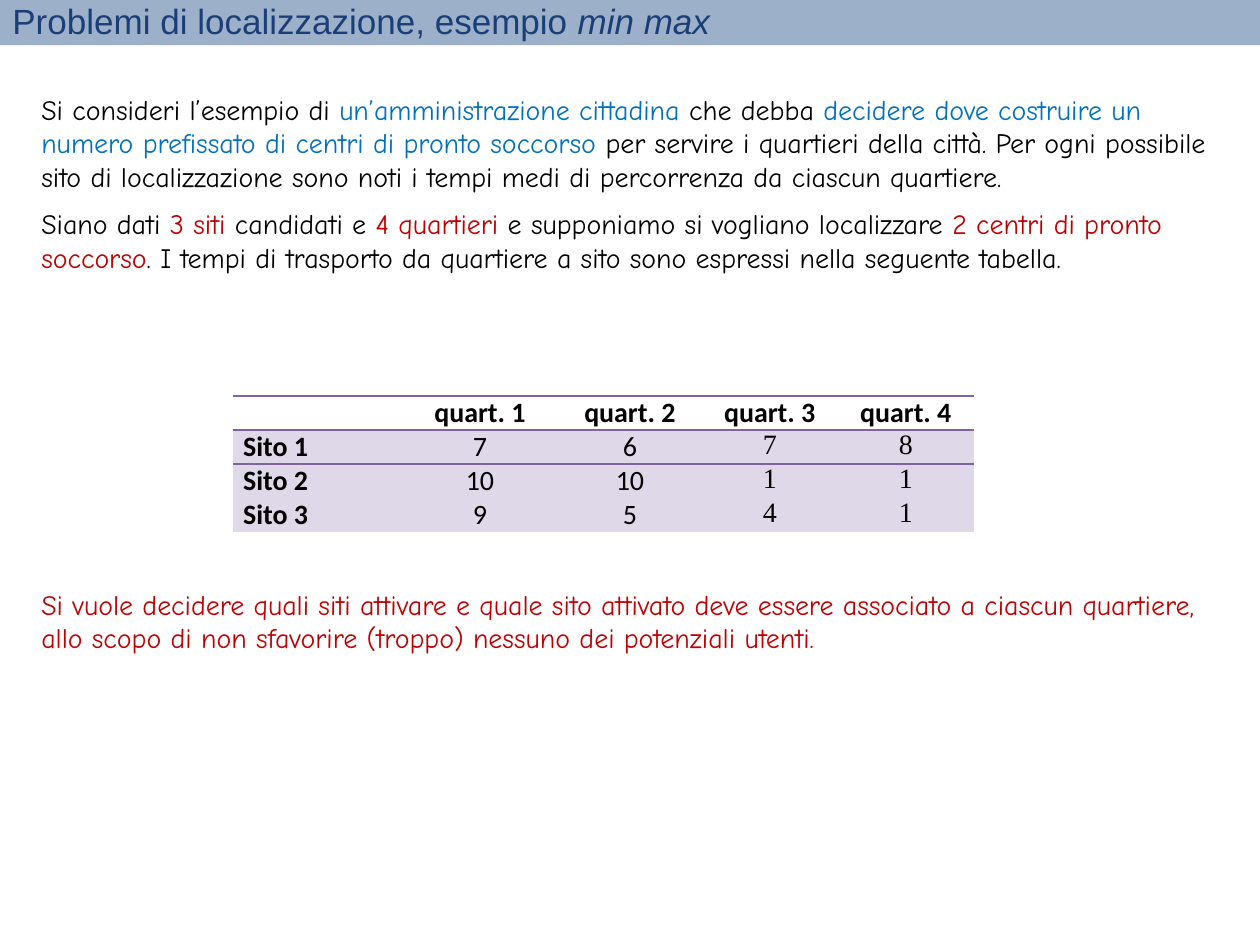
from dataclasses import dataclass

import lxml.etree
import pptx
import pptx.dml.color
import pptx.enum.shapes
import pptx.enum.text
import pptx.oxml.ns
import pptx.util

WIDTH, HEIGHT = 10, 7.5
NO_STYLE = "{2D5ABB26-0587-4C30-8999-92F81FD0307C}"
MIDDLE = pptx.enum.text.MSO_ANCHOR.MIDDLE
CENTER = pptx.enum.text.PP_ALIGN.CENTER
LEFT = pptx.enum.text.PP_ALIGN.LEFT


@dataclass(frozen=True)
class Theme:
    navy: str = "002060"
    bar: str = "376092"
    black: str = "000000"
    blue: str = "0070C0"
    red: str = "C00000"
    rule: str = "8064A2"
    band: str = "DFD8E8"
    title_font: str = "Arial"
    body_font: str = "Comic Neue"
    table_font: str = "Calibri"
    number_font: str = "Times New Roman"
    title_size: int = 20
    body_size: int = 16
    paragraph_gap: int = 8


T = Theme()

PROBLEM = [
    [("Si consideri l’esempio di ", T.black),
     ("un’amministrazione cittadina ", T.blue),
     ("che debba ", T.black),
     ("decidere dove costruire un numero prefissato di centri di pronto soccorso ", T.blue),
     ("per servire i quartieri della città. Per ogni possibile sito di localizzazione "
      "sono noti i tempi medi di percorrenza da ciascun quartiere.", T.black)],
    [("Siano dati ", T.black),
     ("3 siti ", T.red),
     ("candidati e ", T.black),
     ("4 quartieri ", T.red),
     ("e supponiamo si vogliano localizzare ", T.black),
     ("2 centri di pronto soccorso", T.red),
     (". I tempi di trasporto da quartiere a sito sono espressi nella seguente tabella.",
      T.black)],
]
GOAL = [
    [("Si vuole decidere quali siti attivare e quale sito attivato deve essere associato "
      "a ciascun quartiere, allo scopo di non sfavorire (troppo) nessuno dei potenziali "
      "utenti.", T.red)],
]
TIMES = [
    ["", "quart. 1", "quart. 2", "quart. 3", "quart. 4"],
    ["Sito 1", "7", "6", "7", "8"],
    ["Sito 2", "10", "10", "1", "1"],
    ["Sito 3", "9", "5", "4", "1"],
]
COLUMN_WIDTHS = [1.34, 1.24, 1.14, 1.08, 1.08]
ROW_HEIGHT = 0.27


def rgb(color):
    return pptx.dml.color.RGBColor.from_string(color)


def box(x, y, w, h):
    """Turn shares of the slide's size into left, top, width and height."""
    return [pptx.util.Inches(share * side)
            for share, side in zip((x, y, w, h), (WIDTH, HEIGHT) * 2)]


def sub(parent, tag, **attributes):
    return lxml.etree.SubElement(parent, pptx.oxml.ns.qn(tag), **attributes)


def add_run(p, text, font, size, color, bold=False, italic=False):
    r = p.add_run()
    r.text = text
    r.font.name = font
    r.font.size = pptx.util.Pt(size)
    r.font.color.rgb = rgb(color)
    r.font.bold = bold
    r.font.italic = italic


def add_text_frame(s, place):
    tf = s.shapes.add_textbox(*place).text_frame
    tf.word_wrap = True
    return tf


def add_title(s, plain, emphasis):
    tf = add_text_frame(s, box(0, -0.015, 0.92, 0.074))
    tf.vertical_anchor = MIDDLE
    for text, italic in ((plain, False), (emphasis, True)):
        add_run(tf.paragraphs[0], text, T.title_font, T.title_size, T.navy, italic=italic)


def add_title_bar(s):
    bar = s.shapes.add_shape(pptx.enum.shapes.MSO_SHAPE.RECTANGLE, *box(0, 0, 1, 0.048))
    bar.shadow.inherit = False
    bar.line.fill.background()
    bar.fill.solid()
    bar.fill.fore_color.rgb = rgb(T.bar)
    color = bar.fill._xPr.find(".//" + pptx.oxml.ns.qn("a:srgbClr"))
    sub(color, "a:alpha", val="49000")


def add_body(s, y, h, paragraphs):
    tf = add_text_frame(s, box(0.023, y, 0.953, h))
    for i, runs in enumerate(paragraphs):
        p = tf.add_paragraph() if i else tf.paragraphs[0]
        if i:
            p.space_before = pptx.util.Pt(T.paragraph_gap)
        for text, color in runs:
            add_run(p, text, T.body_font, T.body_size, color)


def add_border(cell, tag):
    line = sub(cell._tc.get_or_add_tcPr(), tag, w=str(pptx.util.Pt(1)))
    sub(sub(line, "a:solidFill"), "a:srgbClr", val=T.rule)


def fill_cell(cell, text, row, col):
    cell.margin_left = cell.margin_right = pptx.util.Inches(0.08)
    cell.margin_top = cell.margin_bottom = 0
    # Borders come before the fill in the cell's properties.
    if row == 0:
        add_border(cell, "a:lnT")
        add_border(cell, "a:lnB")
    elif row == 1:
        add_border(cell, "a:lnT")
    if row:
        cell.fill.solid()
        cell.fill.fore_color.rgb = rgb(T.band)
    else:
        cell.fill.background()
    p = cell.text_frame.paragraphs[0]
    p.alignment = CENTER if col else LEFT
    if text:
        font = T.number_font if row and col > 2 else T.table_font
        add_run(p, text, font, T.body_size, T.black, bold=row == 0 or col == 0)
    else:
        end = sub(p._p, "a:endParaRPr", sz=str(T.body_size * 100))
        sub(end, "a:latin", typeface=T.table_font)


def add_times_table(s):
    place = box(0.185, 0.419, sum(COLUMN_WIDTHS) / WIDTH, len(TIMES) * ROW_HEIGHT / HEIGHT)
    table = s.shapes.add_table(len(TIMES), len(COLUMN_WIDTHS), *place).table
    table.horz_banding = False
    table._tbl.tblPr.find(pptx.oxml.ns.qn("a:tableStyleId")).text = NO_STYLE
    for column, width in zip(table.columns, COLUMN_WIDTHS):
        column.width = pptx.util.Inches(width)
    for row, texts in enumerate(TIMES):
        table.rows[row].height = pptx.util.Inches(ROW_HEIGHT)
        for col, text in enumerate(texts):
            fill_cell(table.cell(row, col), text, row, col)


def main():
    prs = pptx.Presentation()
    prs.slide_width = pptx.util.Inches(WIDTH)
    prs.slide_height = pptx.util.Inches(HEIGHT)
    s = prs.slides.add_slide(prs.slide_layouts[6])
    add_title(s, "Problemi di localizzazione, esempio ", "min max")
    add_title_bar(s)
    add_body(s, 0.091, 0.283, PROBLEM)
    add_times_table(s)
    add_body(s, 0.615, 0.085, GOAL)
    prs.save("out.pptx")


if __name__ == "__main__":
    main()
